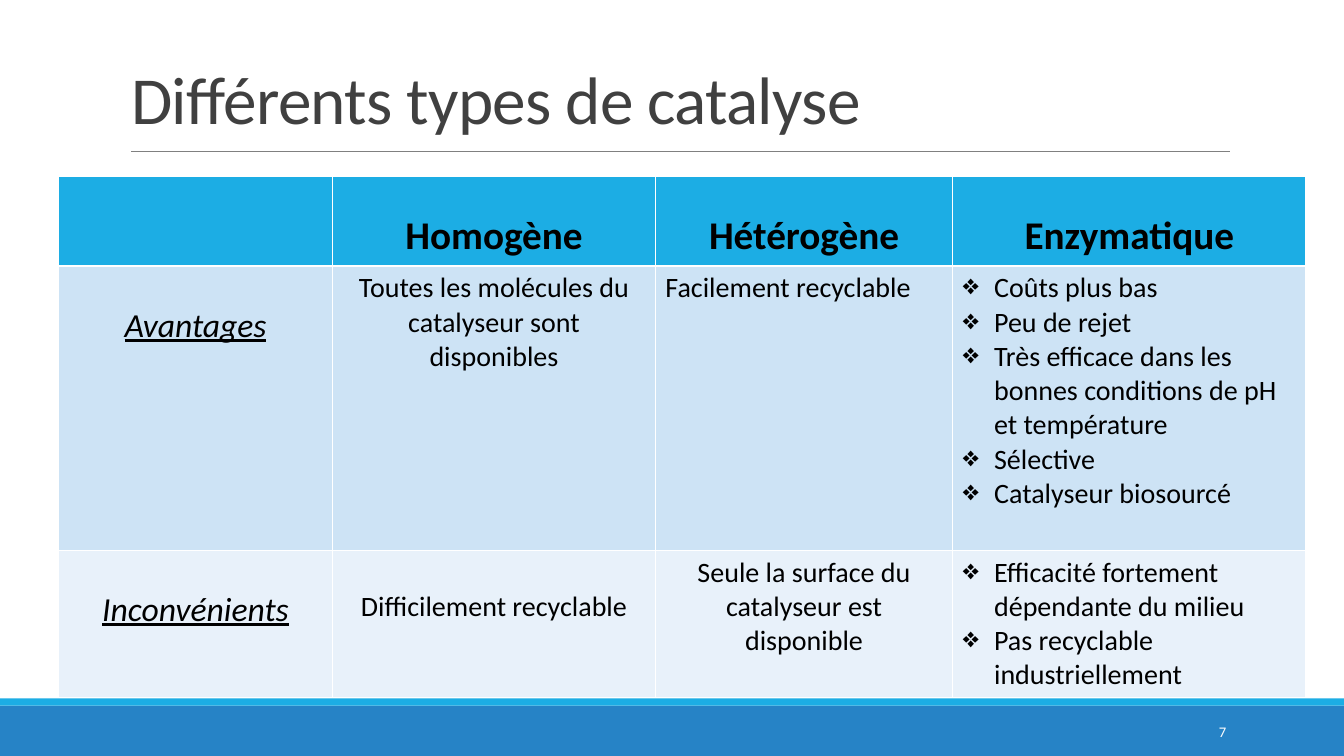
from dataclasses import dataclass

from lxml import etree
from pptx import Presentation
from pptx.dml.color import RGBColor
from pptx.enum import shapes, text
from pptx.oxml import parse_xml
from pptx.oxml.ns import nsdecls, qn
from pptx.util import Inches, Pt

FONT = "Calibri"
LEFT, CENTER, RIGHT = text.PP_ALIGN.LEFT, text.PP_ALIGN.CENTER, text.PP_ALIGN.RIGHT
BLACK, WHITE, SKY, BLUE = "000000", "FFFFFF", "1CADE4", "2683C6"
TITLE_GREY, RULE_GREY = "404040", "808080"


@dataclass(frozen=True)
class Style:
    size: float
    color: str = BLACK
    align: text.PP_ALIGN = CENTER
    bold: bool = False
    italic: bool = False
    underline: bool = False
    bullet: str = ""
    top: float = 0.05


@dataclass(frozen=True)
class Entry:
    style: Style
    lines: tuple[str, ...] = ()


@dataclass(frozen=True)
class Row:
    height: float
    fill: str
    entries: tuple[Entry, ...]


@dataclass(frozen=True)
class Band:
    top: float
    height: float
    color: str


HEADER = Style(28, bold=True, top=0.36)
LABEL = Style(24, italic=True, underline=True, top=0.39)
CENTERED = Style(20)
LOWERED = Style(20, top=0.39)
PLAIN = Style(20, align=LEFT)
BULLETED = Style(20, align=LEFT, bullet="❖")

BANDS = (Band(7, 0.5, BLUE), Band(6.93, 0.07, SKY))
COLUMN_WIDTHS = (2.72, 3.2, 2.95, 3.5)
ROWS = (
    Row(0.89, SKY, (
        Entry(HEADER),
        Entry(HEADER, ("Homogène",)),
        Entry(HEADER, ("Hétérogène",)),
        Entry(HEADER, ("Enzymatique",)),
    )),
    Row(2.82, "CDE3F5", (
        Entry(LABEL, ("Avantages",)),
        Entry(CENTERED, ("Toutes les molécules du catalyseur sont disponibles",)),
        Entry(PLAIN, ("Facilement recyclable",)),
        Entry(BULLETED, (
            "Coûts plus bas",
            "Peu de rejet",
            "Très efficace dans les bonnes conditions de pH et température",
            "Sélective",
            "Catalyseur biosourcé",
        )),
    )),
    Row(1.46, "E8F1FA", (
        Entry(LABEL, ("Inconvénients",)),
        Entry(LOWERED, ("Difficilement recyclable",)),
        Entry(CENTERED, ("Seule la surface du catalyseur est disponible",)),
        Entry(BULLETED, (
            "Efficacité fortement dépendante du milieu",
            "Pas recyclable industriellement",
        )),
    )),
)


def rgb(color: str) -> RGBColor:
    return RGBColor.from_string(color)


def format_paragraph(paragraph, style: Style) -> None:
    paragraph.alignment = style.align
    font = paragraph.font
    font.name, font.size = FONT, Pt(style.size)
    font.bold, font.italic, font.underline = style.bold, style.italic, style.underline
    font.color.rgb = rgb(style.color)
    if style.bullet:
        properties = paragraph._p.get_or_add_pPr()
        properties.set("marL", str(Inches(0.31)))
        properties.set("indent", str(-Inches(0.31)))
        bullet = parse_xml(f'<a:buChar {nsdecls("a")} char="{style.bullet}"/>')
        properties.insert_element_before(bullet, "a:tabLst", "a:defRPr", "a:extLst")


def fill_cell(cell, entry: Entry, color: str) -> None:
    cell.fill.solid()
    cell.fill.fore_color.rgb = rgb(color)
    cell.margin_top = Inches(entry.style.top)
    cell.text_frame.text = "\n".join(entry.lines)
    for paragraph in cell.text_frame.paragraphs:
        format_paragraph(paragraph, entry.style)


def draw_band(slide, band: Band) -> None:
    strip = slide.shapes.add_shape(shapes.MSO_SHAPE.RECTANGLE, 0, Inches(band.top),
                                   Inches(13.33), Inches(band.height))
    strip.shadow.inherit = False
    strip.fill.solid()
    strip.fill.fore_color.rgb = rgb(band.color)
    strip.line.fill.background()


presentation = Presentation()
presentation.slide_width, presentation.slide_height = Inches(13.33), Inches(7.5)
slide = presentation.slides.add_slide(presentation.slide_layouts[5])

# Footer bands and the rule under the title
for band in BANDS:
    draw_band(slide, band)
rule = slide.shapes.add_connector(shapes.MSO_CONNECTOR.STRAIGHT, Inches(1.3), Inches(1.5),
                                  Inches(12.2), Inches(1.5))
rule.line.color.rgb = rgb(RULE_GREY)
rule.line.width = Pt(0.5)
etree.SubElement(rule._element.spPr, qn("a:effectLst"))

# Title
title = slide.shapes.title
title.left, title.top, title.width, title.height = map(Inches, (1.2, 0.31, 11, 1.11))
title.text_frame.text = "Différents types de catalyse"
title.text_frame.auto_size = text.MSO_AUTO_SIZE.NONE
title.text_frame.vertical_anchor = text.MSO_ANCHOR.BOTTOM
heading = title.text_frame.paragraphs[0]
format_paragraph(heading, Style(48, TITLE_GREY, LEFT))
heading.line_spacing = 0.85
heading.runs[0]._r.get_or_add_rPr().set("spc", "-50")

# Slide number
number = slide.shapes.add_textbox(*map(Inches, (10.83, 7.06, 1.43, 0.4))).text_frame
number.word_wrap = True
number.vertical_anchor = text.MSO_ANCHOR.MIDDLE
number.text = "7"
format_paragraph(number.paragraphs[0], Style(10.5, WHITE, RIGHT))

# Comparison table
comparison = slide.shapes.add_table(
    len(ROWS), len(COLUMN_WIDTHS), Inches(0.58), Inches(1.75),
    Inches(sum(COLUMN_WIDTHS)), Inches(sum(row.height for row in ROWS))).table
for column, width in zip(comparison.columns, COLUMN_WIDTHS):
    column.width = Inches(width)
for row_index, row in enumerate(ROWS):
    comparison.rows[row_index].height = Inches(row.height)
    for column_index, entry in enumerate(row.entries):
        fill_cell(comparison.cell(row_index, column_index), entry, row.fill)

presentation.save("out.pptx")
